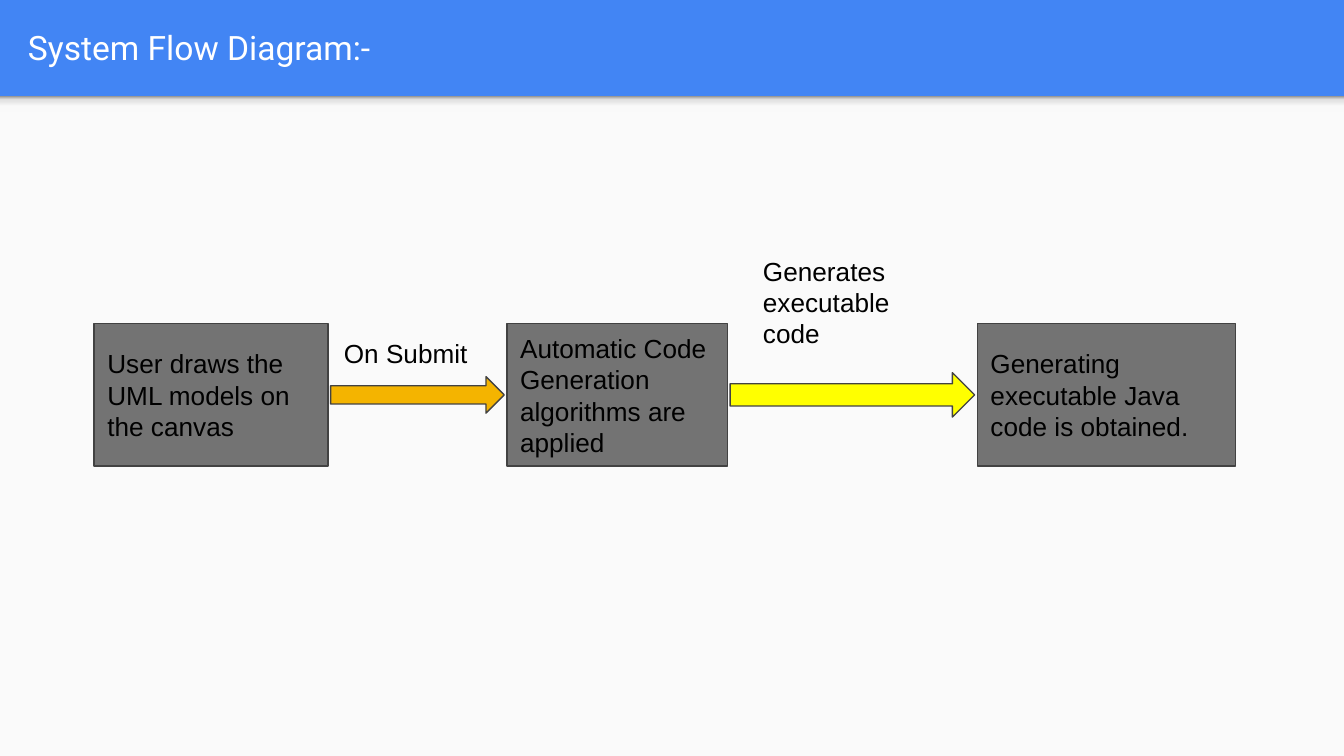
from copy import deepcopy

from pptx import Presentation
from pptx import util as u
from pptx.dml.color import RGBColor
from pptx.enum import shapes, text

Cm = u.Cm
KIND = shapes.MSO_SHAPE
MID = text.MSO_ANCHOR.MIDDLE
TOP = text.MSO_ANCHOR.TOP

HUES = {
    "blue": "4285F4", "paper": "FAFAFA", "white": "FFFFFF", "black": "000000",
    "box": "737373", "edge": "424242", "amber": "F4B400", "yellow": "FFFF00",
}
SHADE = [(0, "F9F9F9"), (0.36, "F9F9F9"), (0.8, "DEDEDE"), (1, "999999")]

WIDE, HIGH = 25.4, 14.29
BAR = 1.82               # height of the title bar
ROW, TALL = 6.12, 2.69   # top and height of the step boxes
GAP = 0.05               # space between box and arrow

# left, width, wording
STEPS = [
    (1.78, 4.42, "User draws the UML models on the canvas"),
    (9.58, 4.17, "Automatic Code Generation algorithms are applied"),
    (18.47, 4.88, "Generating executable Java code is obtained."),
]
# height, colour of the arrow between two steps
ARROWS = [(0.69, "amber"), (0.84, "yellow")]
# left, top, height, wording
LABELS = [
    (6.25, ROW, 0.84, "On Submit"),
    (14.17, 4.57, 1.68, "Generates executable code"),
]


def rgb(hue):
    return RGBColor.from_string(HUES[hue])


def add_form(slide, kind, place, fill, edge=None):
    form = slide.shapes.add_shape(kind, *map(Cm, place))
    form.shadow.inherit = False
    form.fill.solid()
    form.fill.fore_color.rgb = rgb(fill)
    if edge:
        form.line.color.rgb = rgb(edge)
        form.line.width = u.Pt(0.75)
    else:
        form.line.fill.background()
    return form


def write(form, words, anchor=MID, size=14, face="Arial", hue="black"):
    frame = form.text_frame
    frame.word_wrap = True
    frame.vertical_anchor = anchor
    frame.margin_left = frame.margin_right = Cm(0.25)
    frame.margin_top = frame.margin_bottom = Cm(0.25)
    para = frame.paragraphs[0]
    para.text = words
    para.alignment = text.PP_ALIGN.LEFT
    para.font.size = u.Pt(size)
    para.font.name = face
    para.font.color.rgb = rgb(hue)


def add_note(slide, place, words, **style):
    write(slide.shapes.add_textbox(*map(Cm, place)), words, **style)


def add_shade(slide, place):
    form = add_form(slide, KIND.RECTANGLE, place, "paper")
    form.fill.gradient()
    form.fill.gradient_angle = 90
    # The default gradient has two stops; add the others
    stops = form.element.xpath(".//a:gsLst")[0]
    while len(stops) < len(SHADE):
        stops.append(deepcopy(stops[0]))
    for stop, (spot, code) in zip(form.fill.gradient_stops, SHADE):
        stop.position = spot
        stop.color.rgb = RGBColor.from_string(code)


def main():
    deck = Presentation()
    deck.slide_width, deck.slide_height = Cm(WIDE), Cm(HIGH)
    slide = deck.slides.add_slide(deck.slide_layouts[6])

    # Background, title bar and its soft edge
    slide.background.fill.solid()
    slide.background.fill.fore_color.rgb = rgb("blue")
    add_form(slide, KIND.RECTANGLE, (0, BAR, WIDE, HIGH - BAR), "paper")
    add_shade(slide, (0, BAR, WIDE, 0.3))
    add_note(slide, (0.28, 0.05, 24.51, 1.68), "System Flow Diagram:-",
             anchor=MID, size=18, face="Roboto", hue="white")

    # Steps
    for left, width, words in STEPS:
        box = add_form(slide, KIND.RECTANGLE, (left, ROW, width, TALL),
                       "box", "edge")
        write(box, words)

    # Arrows fill the gaps between steps
    for (left, width, _), (end, _, _), (tall, hue) in zip(
            STEPS, STEPS[1:], ARROWS):
        start = left + width + GAP
        place = (start, ROW + (TALL - tall) / 2, end - GAP - start, tall)
        add_form(slide, KIND.RIGHT_ARROW, place, hue, "edge")

    # Arrow labels
    for left, top, tall, words in LABELS:
        add_note(slide, (left, top, 3.28, tall), words, anchor=TOP)

    deck.save("out.pptx")


if __name__ == "__main__":
    main()
